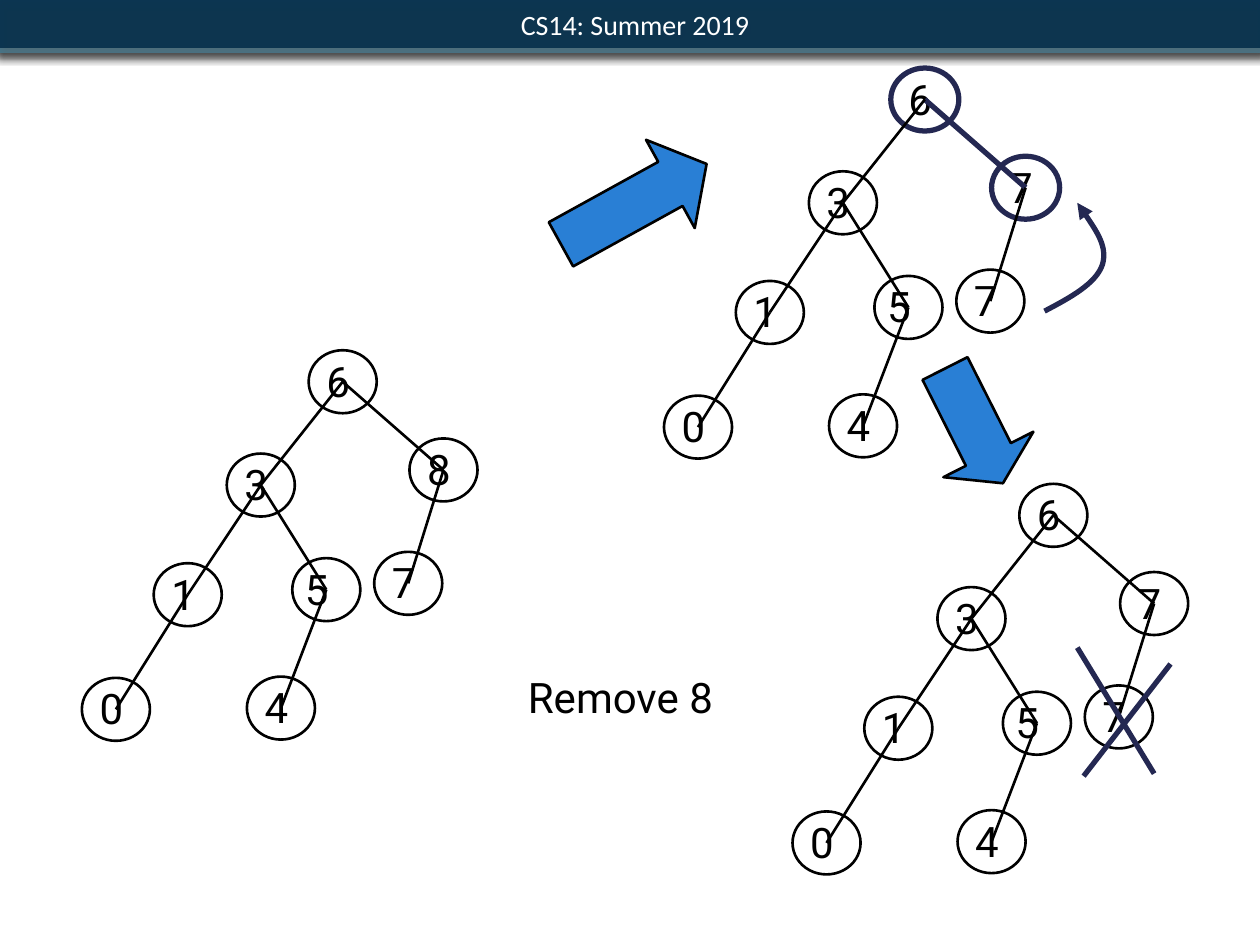
from lxml.etree import SubElement
from pptx import Presentation
from pptx.dml.color import RGBColor
from pptx.enum.shapes import MSO_CONNECTOR as LINK, MSO_SHAPE as SHAPE
from pptx.enum.text import MSO_ANCHOR as ANCHOR, MSO_AUTO_SIZE as FIT, PP_ALIGN as ALIGN
from pptx.oxml.ns import qn
from pptx.util import Pt

PX = 9144  # EMU per px, 100 px to the inch

BLACK = RGBColor(0x00, 0x00, 0x00)
WHITE = RGBColor(0xFF, 0xFF, 0xFF)
NAVY = RGBColor(0x24, 0x28, 0x52)
BLUE = RGBColor(0x29, 0x7F, 0xD5)
TEAL = RGBColor(0x42, 0x7A, 0x92)
DEEP = RGBColor(0x06, 0x2F, 0x4B)
GRAY = RGBColor(0x5E, 0x5E, 0x5E)

NODE_W, NODE_H = 54, 50

# Name: (parent, offset from the root, shift of the digit in its circle)
NODES = {
    "root": (None, 0, 0, 9),
    "right": ("root", 80, 70, 9),
    "3": ("root", -65, 82, 9),
    "5": ("3", -13, 165, 5),
    "1": ("3", -123, 169, 9),
    "0": ("1", -180, 260, 9),
    "7": ("right", 52, 160, 9),
    "4": ("5", -49, 259, 9),
}


def emu(*sizes):
    return [round(size * PX) for size in sizes]


def set_line(item, color=BLACK, width=1.5):
    item.line.color.rgb = color
    item.line.width = Pt(width)


def add_shape(slide, kind, box, fill=None):
    shape = slide.shapes.add_shape(kind, *emu(*box))
    shape.shadow.inherit = False
    if fill is None:
        shape.fill.background()
    else:
        shape.fill.solid()
        shape.fill.fore_color.rgb = fill
    return shape


def add_edge(slide, start, end, color=BLACK, width=1.5):
    edge = slide.shapes.add_connector(LINK.STRAIGHT, *emu(*start, *end))
    set_line(edge, color, width)
    SubElement(edge._element.spPr, qn("a:effectLst"))


def set_frame(frame, text, inset, size, font, color):
    frame.text = text
    frame.vertical_anchor = ANCHOR.MIDDLE
    frame.margin_left = frame.margin_right = inset * PX
    frame.margin_top = frame.margin_bottom = inset * PX
    run = frame.paragraphs[0].runs[0]
    run.font.size = Pt(size)
    run.font.name = font
    run.font.color.rgb = color


def add_label(slide, text, box):
    frame = slide.shapes.add_textbox(*emu(*box)).text_frame
    set_frame(frame, text, 5, 24, "Roboto", BLACK)
    frame.word_wrap = False
    frame.auto_size = FIT.SHAPE_TO_FIT_TEXT


def set_alpha(color, percent):
    SubElement(color, qn("a:alpha"), val=str(percent * 1000))


def add_bar(slide, box, fill, shade, alpha):
    """Header bar with a soft shadow below it."""
    bar = add_shape(slide, SHAPE.RECTANGLE, box, fill)
    bar.line.fill.background()
    effects = bar._element.spPr.find(qn("a:effectLst"))
    shadow = SubElement(effects, qn("a:outerShdw"), blurRad=str(Pt(5)),
                        dist=str(Pt(2)), dir="5400000", rotWithShape="0")
    set_alpha(SubElement(shadow, qn("a:srgbClr"), val=str(shade)), alpha)
    return bar


def add_header(slide):
    add_bar(slide, (-4, -6, 1007, 48), TEAL, BLACK, 75)
    bar = add_bar(slide, (-1, 0, 1003, 38), DEEP, GRAY, 50)
    set_alpha(bar._element.spPr.find(qn("a:solidFill"))[0], 90)
    set_frame(bar.text_frame, "CS14: Summer 2019", 6, 16, "Calibri", WHITE)
    para = bar.text_frame.paragraphs[0]
    para.alignment = ALIGN.CENTER
    para._p.get_or_add_pPr().set("indent", str(7 * PX))


def add_tree(slide, left, top, right, bold=()):
    """Draw the heap; right is the digit of the root's right child."""
    digits = {"root": "6", "right": right}
    mids = {}
    for name, (parent, dx, dy, shift) in NODES.items():
        x, y = left + dx, top + dy
        style = (NAVY, 3) if name in bold else (BLACK, 1.5)
        add_label(slide, digits.get(name, name), (x + shift, y - 1, 30, 50))
        ring = add_shape(slide, SHAPE.OVAL, (x, y, NODE_W, NODE_H))
        set_line(ring, *style)
        mids[name] = (x + NODE_W // 2, y + NODE_H // 2)
        if parent:
            add_edge(slide, mids[parent], mids[name], *style)


def add_curve(slide, start, *points):
    """Bezier arrow; points come in threes, two handles and an end."""
    pen = slide.shapes.build_freeform(*start, scale=PX)
    pen.add_line_segments(points, close=False)
    curve = pen.convert_to_shape()
    curve.shadow.inherit = False
    curve.fill.background()
    set_line(curve, NAVY, 3)
    SubElement(curve.line._get_or_add_ln(), qn("a:tailEnd"), type="triangle")
    track = next(curve._element.iter(qn("a:path")))
    steps = track.findall(qn("a:lnTo"))
    for i in range(0, len(steps), 3):
        bend = SubElement(track, qn("a:cubicBezTo"))
        for step in steps[i:i + 3]:
            bend.append(step[0])
            track.remove(step)


def add_arrow(slide, box, angle, head):
    arrow = add_shape(slide, SHAPE.RIGHT_ARROW, box, BLUE)
    set_line(arrow)
    arrow.adjustments[0] = 0.5
    arrow.adjustments[1] = head
    arrow.rotation = angle


def main():
    deck = Presentation()
    deck.slide_width, deck.slide_height = emu(1000, 750)
    slide = deck.slides.add_slide(deck.slide_layouts[6])

    add_header(slide)
    add_tree(slide, 245, 278, "8")
    add_label(slide, "Remove 8", (414, 528, 157, 50))
    add_tree(slide, 707, 54, "7", bold=("root", "right"))
    add_curve(slide, (829, 247), (850, 236), (870, 225), (875, 210),
              (879, 196), (867, 178), (855, 161))
    add_tree(slide, 809, 384, "7")
    add_edge(slide, (855, 514), (916, 614), NAVY, 3)
    add_edge(slide, (860, 616), (929, 527), NAVY, 3)
    add_arrow(slide, (437, 122, 132, 80), 331.1, 0.41)
    add_arrow(slide, (722, 298, 102, 80), 63.2, 0.32)

    deck.save("out.pptx")


if __name__ == "__main__":
    main()
